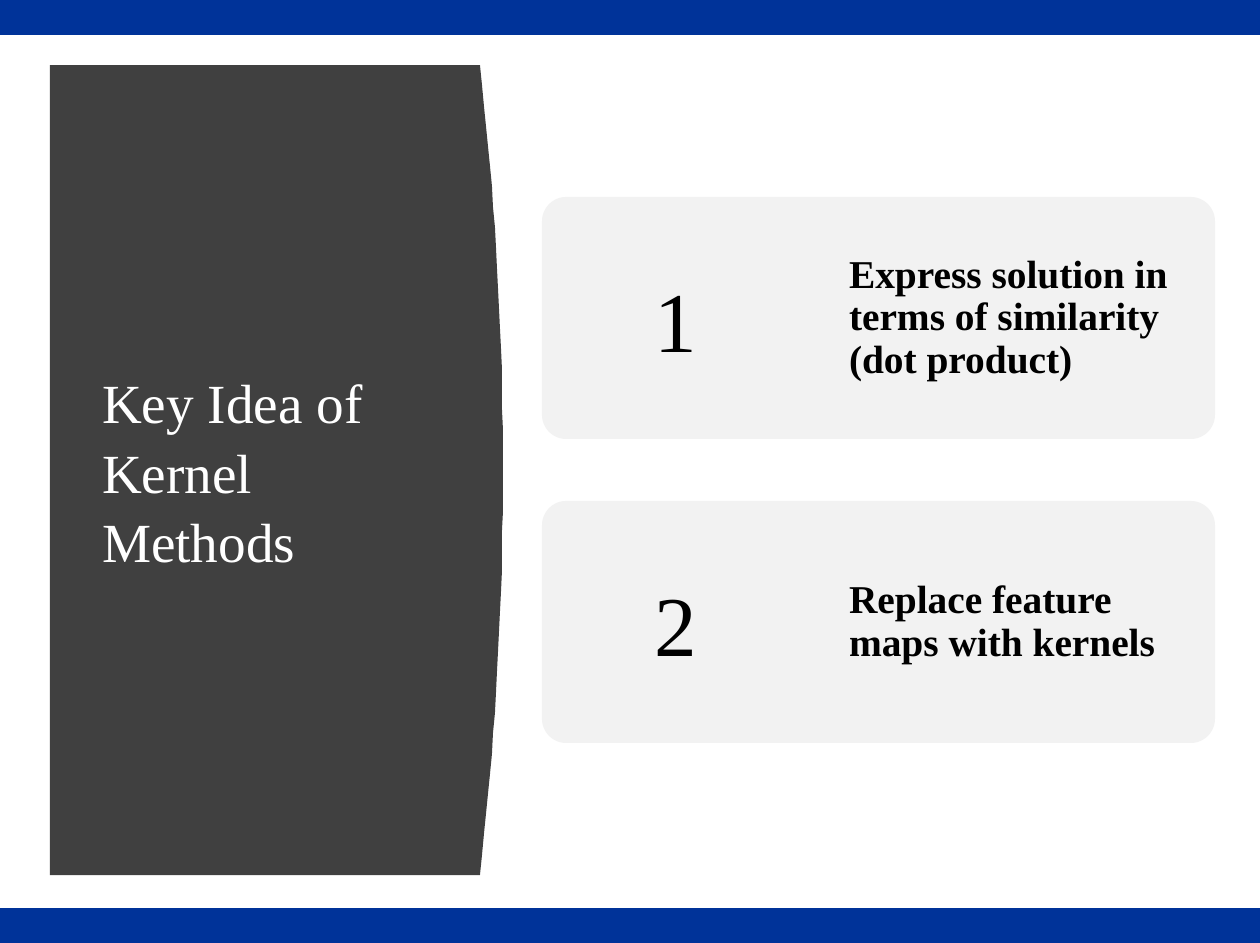
import pptx
import pptx.util
import pptx.dml.color
import pptx.enum.shapes
import pptx.enum.text
from dataclasses import dataclass

SCALE = 914400 / 113.5  # EMU in one px
WIDE, HIGH = 1260, 943

SHAPE = pptx.enum.shapes.MSO_SHAPE
ALIGN = pptx.enum.text.PP_ALIGN
ANCHOR = pptx.enum.text.MSO_ANCHOR


@dataclass(frozen=True)
class Theme:
    font: str = "Times New Roman"
    bar: str = "003399"
    panel: str = "404040"
    card: str = "F2F2F2"
    dark: str = "000000"
    light: str = "FFFFFF"
    title: int = 35
    count: int = 54
    item: int = 25


THEME = Theme()


def px(size):
    return pptx.util.Emu(round(size * SCALE))


def color(code):
    return pptx.dml.color.RGBColor.from_string(code)


def paint(shape, fill):
    shape.shadow.inherit = False
    shape.fill.solid()
    shape.fill.fore_color.rgb = color(fill)
    shape.line.fill.background()


def add_box(slide, kind, left, top, width, height, fill):
    box = slide.shapes.add_shape(kind, px(left), px(top), px(width), px(height))
    paint(box, fill)
    return box


def add_panel(slide, left, top, right, bottom, bulge):
    """Dark panel whose right edge bows out as a parabola."""
    steps = 40
    edge = []
    for step in range(steps + 1):
        part = step / steps
        bow = 4 * bulge * part * (1 - part)
        edge.append((right + bow, top + part * (bottom - top)))
    form = slide.shapes.build_freeform(left, top, scale=SCALE)
    form.add_line_segments(edge + [(left, bottom)], close=True)
    paint(form.convert_to_shape(), THEME.panel)


def set_text(shape, text, size, ink, inset, anchor=ANCHOR.MIDDLE,
             align=ALIGN.LEFT, bold=False, wrap=True, space=1.0):
    frame = shape.text_frame
    frame.text = text
    frame.word_wrap = wrap
    frame.auto_size = pptx.enum.text.MSO_AUTO_SIZE.NONE
    frame.vertical_anchor = anchor
    frame.margin_left = frame.margin_right = px(inset[0])
    frame.margin_top = frame.margin_bottom = px(inset[1])
    for para in frame.paragraphs:
        para.alignment = align
        para.line_spacing = space
        for run in para.runs:
            run.font.name = THEME.font
            run.font.size = pptx.util.Pt(size)
            run.font.bold = bold
            run.font.color.rgb = color(ink)


def add_label(slide, left, top, width, height, text, size, **style):
    label = slide.shapes.add_textbox(px(left), px(top), px(width), px(height))
    set_text(label, text, size, THEME.dark, **style)


def add_title(slide, left, top, width, height, text):
    title = slide.shapes.title
    title.left, title.top = px(left), px(top)
    title.width, title.height = px(width), px(height)
    set_text(title, text, THEME.title, THEME.light, inset=(12, 7), space=1.05)
    # Bring the title in front of the panel
    slide.shapes._spTree.append(title._element)


def add_card(slide, top, count, text):
    left, width, height = 542, 673, 242
    card = add_box(slide, SHAPE.ROUNDED_RECTANGLE, left, top, width, height,
                   THEME.card)
    card.adjustments[0] = 0.1
    add_label(slide, left + 281, top, width - 281, height, text, THEME.item,
              inset=(26, 26), bold=True, space=0.9)
    add_label(slide, left + 101, top + 64, 66, 115, str(count), THEME.count,
              inset=(11, 6), anchor=ANCHOR.TOP, align=ALIGN.CENTER, wrap=False)


def main():
    deck = pptx.Presentation()
    deck.slide_width, deck.slide_height = px(WIDE), px(HIGH)
    slide = deck.slides.add_slide(deck.slide_layouts[5])

    # Bars at the foot and head
    for top in (908, 0):
        add_box(slide, SHAPE.RECTANGLE, 0, top, WIDE, 35, THEME.bar)

    # Panel with the title
    add_panel(slide, 50, 65, 480, 875, 23)
    add_title(slide, 90, 140, 353, 659, "Key Idea of Kernel Methods")

    # Numbered cards
    ideas = ("Express solution in terms of similarity (dot product)",
             "Replace feature maps with kernels")
    for index, idea in enumerate(ideas):
        add_card(slide, 197 + 304 * index, index + 1, idea)

    deck.save("out.pptx")


if __name__ == "__main__":
    main()
